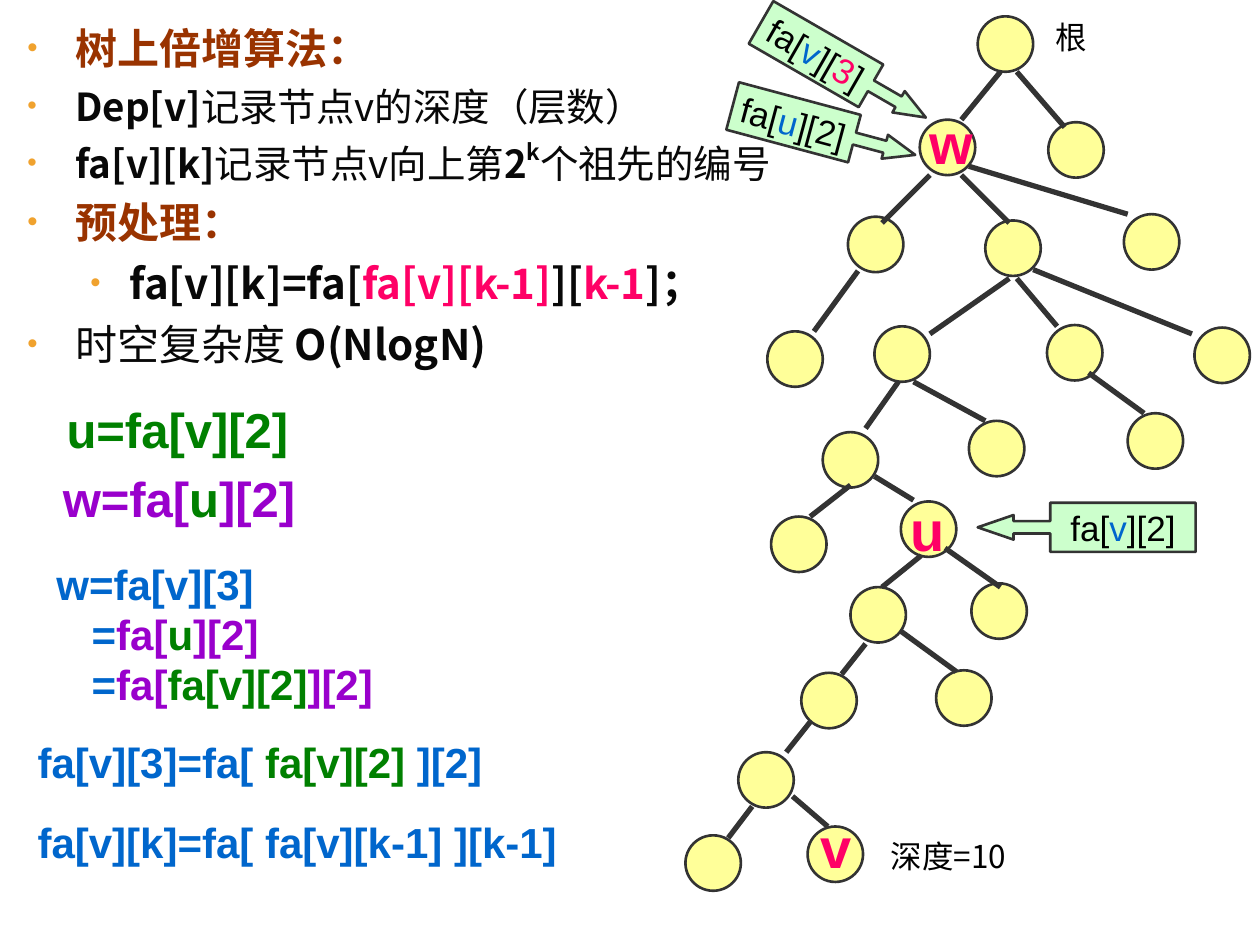
from lxml.etree import SubElement
from pptx import Presentation
from pptx.dml.color import RGBColor
from pptx.enum.shapes import MSO_CONNECTOR as Connector, MSO_SHAPE as Preset
from pptx.enum.text import MSO_ANCHOR as Anchor, MSO_AUTO_SIZE as Fit, PP_ALIGN as Align
from pptx.oxml.ns import qn
from pptx.util import Inches, Pt

COLUMNS, ROWS = 100, 75
LATIN, CHINESE = "Arial", "Noto Sans CJK SC"
BLACK, INK, BROWN, GREEN = "000000", "080808", "993300", "008000"
BLUE, PURPLE, PINK = "0066CC", "9900CC", "FF0066"
EDGE, NODE, CALLOUT, BULLET = "333333", "FFFF99", "CCFFCC", "F0A22E"
NODE_SIZE = 4.4


def color(value):
    return RGBColor.from_string(value)


class TreeSlide:
    def __init__(self, deck):
        self.slide = deck.slides.add_slide(deck.slide_layouts[6])
        self.shapes = self.slide.shapes
        self.cell_width = deck.slide_width / COLUMNS
        self.cell_height = deck.slide_height / ROWS

    def x(self, columns):
        return round(columns * self.cell_width)

    def y(self, rows):
        return round(rows * self.cell_height)

    def place(self, left, top, width, height):
        return self.x(left), self.y(top), self.x(width), self.y(height)

    def shape(self, preset, area, fill):
        shape = self.shapes.add_shape(preset, *self.place(*area))
        shape.shadow.inherit = False
        shape.fill.solid()
        shape.fill.fore_color.rgb = color(fill)
        shape.line.color.rgb = color(EDGE)
        shape.line.width = Pt(1.5)
        return shape

    def node(self, left, top):
        self.shape(Preset.OVAL, (left, top, NODE_SIZE, NODE_SIZE), NODE)

    def edge(self, x1, y1, x2, y2):
        line = self.shapes.add_connector(
            Connector.STRAIGHT, self.x(x1), self.y(y1), self.x(x2), self.y(y2))
        line.line.color.rgb = color(EDGE)
        line.line.width = Pt(3)
        SubElement(line._element.spPr, qn("a:effectLst"))

    def run(self, para, text, ink, size, font=LATIN, bold=True, raised=0):
        span = para.add_run()
        span.text = text
        span.font.size = Pt(size)
        span.font.bold = bold
        span.font.name = font
        span.font.color.rgb = color(ink)
        properties = span.font._element
        SubElement(properties, qn("a:ea"), typeface=font)
        if raised:
            properties.set("baseline", str(raised * 1000))

    def text(self, area, lines, size, font=LATIN, bold=True, indent=0):
        box = self.shapes.add_textbox(*self.place(*area))
        frame = box.text_frame
        frame.word_wrap = True
        frame.auto_size = Fit.SHAPE_TO_FIT_TEXT
        for index, spans in enumerate(lines):
            para = frame.add_paragraph() if index else frame.paragraphs[0]
            if index and indent:
                para._p.get_or_add_pPr().set("marL", str(self.x(indent)))
            for text, ink in spans:
                self.run(para, text, ink, size, font, bold)

    def bullets(self, area, items):
        box = self.shapes.add_textbox(*self.place(*area))
        frame = box.text_frame
        frame.word_wrap = True
        for index, (level, size, spans) in enumerate(items):
            para = frame.add_paragraph() if index else frame.paragraphs[0]
            para.level = level
            margin, hanging = ((3.8, 3.8), (8.1, 3.1))[level]
            properties = para._p.get_or_add_pPr()
            properties.set("marL", str(self.x(margin)))
            properties.set("indent", str(-self.x(hanging)))
            SubElement(SubElement(properties, qn("a:buClr")), qn("a:srgbClr"), val=BULLET)
            SubElement(properties, qn("a:buSzPct"), val="70000")
            SubElement(properties, qn("a:buFont"), typeface=LATIN)
            SubElement(properties, qn("a:buChar"), char="•")
            if index:
                para.space_before = Pt(size / 4)
            for text, ink, bold, *raised in spans:
                self.run(para, text, ink, size, CHINESE, bold, *raised)

    def callout(self, area, head, spans, angle=0):
        shape = self.shape(Preset.LEFT_ARROW_CALLOUT, area, CALLOUT)
        for index, value in enumerate((0.25, 0.25, head, 0.667)):
            shape.adjustments[index] = value
        if angle:
            shape.rotation = angle
            shape._element.spPr.xfrm.set("flipH", "1")
        frame = shape.text_frame
        frame.word_wrap = False
        frame.vertical_anchor = Anchor.MIDDLE
        para = frame.paragraphs[0]
        para.alignment = Align.CENTER
        for text, ink in spans:
            self.run(para, text, ink, 20, bold=False)


NOTES = [
    (0, 24, [("树上倍增算法：", BROWN, True)]),
    (0, 22, [("Dep[v]", INK, True), ("记录节点v的深度（层数）", INK, False)]),
    (0, 22, [("fa[v][k]", INK, True), ("记录节点v向上第", INK, False), ("2", INK, True),
             ("k", INK, True, 45), ("个祖先的编号", INK, False)]),
    (0, 24, [("预处理：", BROWN, True)]),
    (1, 24, [("fa[v][k]=fa[", INK, True), ("fa[v][k-1]", PINK, True), ("][", INK, True),
             ("k-1", PINK, True), ("]；", INK, True)]),
    (0, 24, [("时空复杂度 ", INK, False), ("O(NlogN)", INK, True)]),
]
NODES = [
    (77.6, 1.3), (73, 9.5), (83.2, 9.7), (67.3, 17.2), (78.2, 17.5), (89.2, 17),
    (60.9, 26.3), (69.4, 25.9), (83.1, 25.8), (94.8, 26), (65.3, 34.3), (76.9, 33.4),
    (89.5, 32.8), (61.2, 41), (71.5, 39.8), (67.5, 46.6), (77.1, 46.3), (63.6, 53.4),
    (74.3, 53.2), (58.6, 59.7), (54.4, 66.3), (64.1, 65.6),
]
EDGES = [
    (79.4, 5.7, 76.3, 9.5), (80.7, 5.7, 84.5, 10.1), (73.8, 13.9, 70, 17.7),
    (76.3, 13.9, 80.1, 17.7), (76.9, 13.2, 89.5, 17), (80.1, 22.1, 73.8, 26.5),
    (80.7, 22.1, 83.9, 25.9), (68.1, 21.5, 64.6, 26.3), (82, 21.4, 94.6, 26.5),
    (71.3, 30.3, 68.7, 34), (72.5, 30.3, 78.2, 33.4), (86.4, 29.6, 90.8, 32.8),
    (67.5, 38.5, 64.3, 41), (69.4, 37.8, 72.5, 39.7), (73.1, 44.1, 70, 46.6),
    (75, 43.5, 79.4, 46.6), (68.7, 51.1, 66.8, 53.5), (71.5, 50.1, 75.9, 53.3),
    (64.3, 57.3, 62.4, 59.7), (59.7, 64, 57.8, 66.5), (62.9, 63.2, 65.7, 65.6),
]
NODE_NAMES = [("v", 64.1, 64, 5.5), ("u", 71.3, 38.8, 7.1), ("w", 72.8, 8.1, 7.1)]


def main():
    deck = Presentation()
    deck.slide_width, deck.slide_height = Inches(10), Inches(7.5)
    page = TreeSlide(deck)
    page.bullets((1.2, 1.3, 95, 49.5), NOTES)
    for node in NODES:
        page.node(*node)
    for edge in EDGES:
        page.edge(*edge)
    for name, left, top, width in NODE_NAMES:
        page.text((left, top, width, 6.4), [[(name, PINK)]], 32)

    via_u = [("fa[", PURPLE), ("u", GREEN), ("][2]", PURPLE)]
    via_v = [("fa[", PURPLE), ("fa[v][2]", GREEN), ("][2]", PURPLE)]
    page.text((4.3, 31.2, 22.9, 5.7), [[("u=fa[v][2]", GREEN)]], 28)
    page.text((4, 36.7, 24, 5.7),
              [[("w=fa[", PURPLE), ("u", GREEN), ("][2]", PURPLE)]], 28)
    page.text((3.5, 43.8, 47.3, 13),
              [[("w=fa[v][3]", BLUE)], [("=", BLUE), *via_u], [("=", BLUE), *via_v]],
              24, indent=2.8)
    page.text((2, 58, 47.2, 5),
              [[("fa[v][3]=fa[ ", BLUE), ("fa[v][2]", GREEN), (" ][2]", BLUE)]], 24)
    page.text((2, 64.3, 55.7, 5), [[("fa[v][k]=fa[ fa[v][k-1] ][k-1]", BLUE)]], 24)
    page.text((69.7, 65.9, 12.7, 4), [[("深度=10", BLACK)]], 18, CHINESE, False)
    page.text((82.8, 0.9, 5.1, 4), [[("根", BLACK)]], 18, CHINESE, False)

    page.callout((77.6, 39.9, 17.3, 3.9), 0.73,
                 [("fa[", BLACK), ("v", BLUE), ("][2]", BLACK)])
    page.callout((57.9, 8.4, 15, 3.9), 0.64,
                 [("fa[", BLACK), ("u", BLUE), ("][2]", BLACK)], 15)
    page.callout((59.4, 3.6, 15.1, 3.9), 0.64,
                 [("fa[", BLACK), ("v", BLUE), ("][", BLACK), ("3", PINK), ("]", BLACK)], 30)
    deck.save("out.pptx")


if __name__ == "__main__":
    main()
